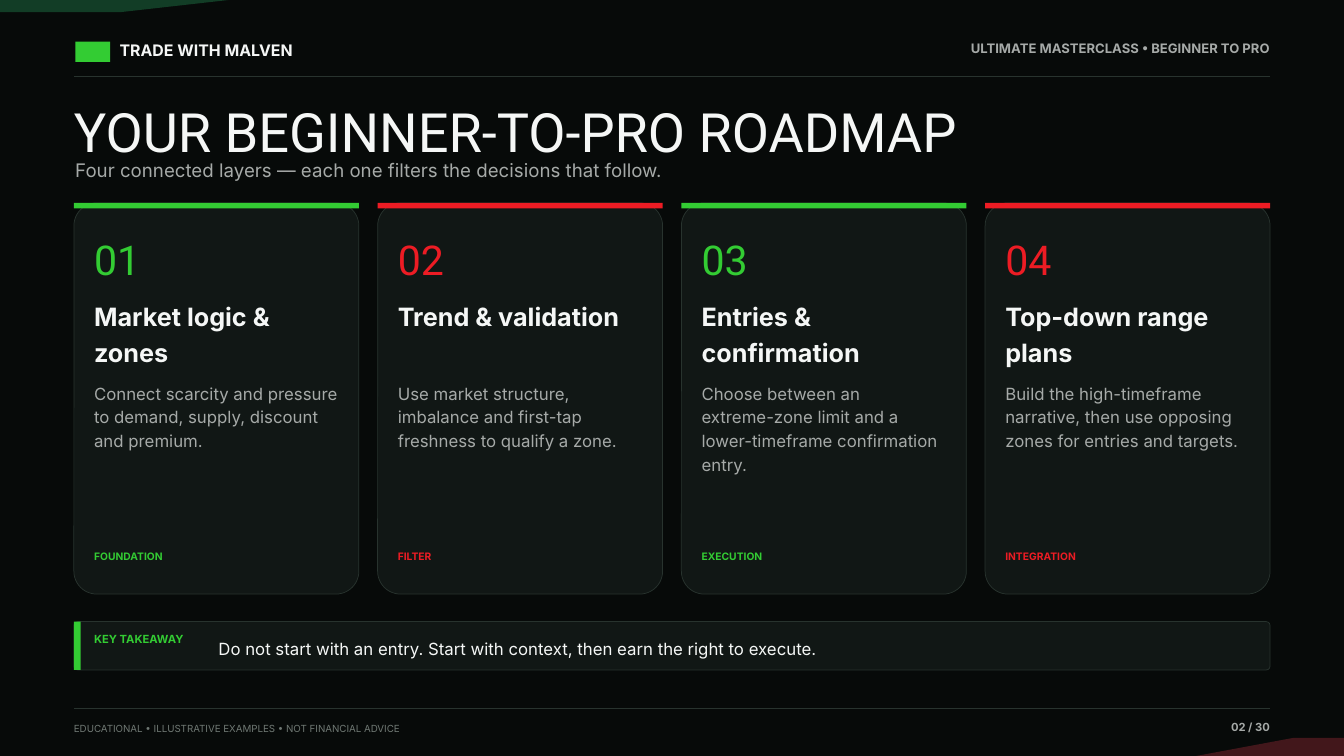
from lxml import etree
from pptx import Presentation, util as u
from pptx.dml.color import RGBColor
from pptx.enum import shapes, text
from pptx.oxml.ns import qn

PX = 9144  # EMU per px, 100 px to the inch
W, H = 2000, 1125
LEFT, RIGHT = 110, 1890

COLORS = {
    "bg": "070A09", "panel": "111715", "rule": "28332E",
    "green": "33CC33", "red": "ED1C24",
    "dark_green": "123D26", "dark_red": "42171B",
    "white": "F5F7F6", "grey": "A6AAA8", "dim": "6F7873",
}
RECT = shapes.MSO_SHAPE.RECTANGLE
ROUND = shapes.MSO_SHAPE.ROUNDED_RECTANGLE
ALIGN = text.PP_ALIGN


class Deck:
    """Holds the style and the current slide."""

    def __init__(self, prs):
        self.s = prs.slides.add_slide(prs.slide_layouts[6])

    @staticmethod
    def color(name):
        return RGBColor.from_string(COLORS[name])

    def paint(self, sp, fill, line=None):
        sp.shadow.inherit = False
        sp.fill.solid()
        sp.fill.fore_color.rgb = self.color(fill)
        if line:
            sp.line.color.rgb = self.color(line)
            sp.line.width = u.Pt(0.8)
        else:
            sp.line.fill.background()

    def box(self, x, y, w, h, fill, kind=RECT, line=None):
        sp = self.s.shapes.add_shape(kind, x * PX, y * PX, w * PX, h * PX)
        if kind == ROUND:
            sp.adjustments[0] = 0.08
        self.paint(sp, fill, line)

    def polygon(self, points, fill):
        fb = self.s.shapes.build_freeform(*points[0], scale=PX)
        fb.add_line_segments(points[1:], close=True)
        self.paint(fb.convert_to_shape(), fill)

    def rule(self, y):
        c = self.s.shapes.add_connector(
            shapes.MSO_CONNECTOR.STRAIGHT, LEFT * PX, y * PX, RIGHT * PX, y * PX)
        c.line.color.rgb = self.color("rule")
        c.line.width = u.Pt(0.8)
        etree.SubElement(c._element.spPr, qn("a:effectLst"))

    def label(self, x, y, w, h, lines, size, color, font="Inter", bold=False,
              align=ALIGN.LEFT, spacing=1.18, anchor=text.MSO_ANCHOR.TOP):
        tf = self.s.shapes.add_textbox(x * PX, y * PX, w * PX, h * PX).text_frame
        frame = {"margin_left": 0, "margin_right": 0, "margin_top": 0,
                 "margin_bottom": 0, "word_wrap": False, "vertical_anchor": anchor,
                 "auto_size": text.MSO_AUTO_SIZE.SHAPE_TO_FIT_TEXT}
        for name, value in frame.items():
            setattr(tf, name, value)
        for i, line in enumerate(lines.split("\n")):
            p = tf.add_paragraph() if i else tf.paragraphs[0]
            p.alignment = align
            p.line_spacing = spacing
            r = p.add_run()
            r.text = line
            for name, value in {"name": font, "size": u.Pt(size), "bold": bold}.items():
                setattr(r.font, name, value)
            r.font.color.rgb = self.color(color)

    def card(self, x, number, color, title, body, tag):
        y, w, inner = 302, 424, x + 30
        self.box(x, y, w, 582, "panel", ROUND, "rule")
        self.box(x, y, w, 8, color)
        self.label(inner, 336, 364, 72, number, 44, color, font="Roboto")
        self.label(inner, 440, 364, 108, title, 27, "white", bold=True)
        self.label(inner, 565, 364, 215, body, 18, "grey")
        self.label(inner, 815, 364, 30, tag, 11, color, bold=True)


CARDS = [
    ("Market logic &\nzones",
     "Connect scarcity and pressure\nto demand, supply, discount\nand premium.",
     "FOUNDATION"),
    ("Trend & validation",
     "Use market structure,\nimbalance and first-tap\nfreshness to qualify a zone.",
     "FILTER"),
    ("Entries &\nconfirmation",
     "Choose between an\nextreme-zone limit and a\nlower-timeframe confirmation\nentry.",
     "EXECUTION"),
    ("Top-down range\nplans",
     "Build the high-timeframe\nnarrative, then use opposing\nzones for entries and targets.",
     "INTEGRATION"),
]


def main():
    prs = Presentation()
    prs.slide_width, prs.slide_height = W * PX, H * PX
    d = Deck(prs)

    # Background and corner accents
    d.box(0, 0, W, H, "bg")
    d.polygon([(0, 0), (340, 0), (180, 18), (0, 18)], "dark_green")
    d.polygon([(W, H), (1780, H), (1925, 1098), (W, 1098)], "dark_red")

    # Header, with a plain mark beside the name
    d.box(112, 62, 52, 30, "green")
    d.label(178, 56, 390, 34, "TRADE WITH MALVEN", 17, "white", bold=True)
    d.label(1400, 56, 490, 32, "ULTIMATE MASTERCLASS • BEGINNER TO PRO", 14, "grey",
            bold=True, align=ALIGN.RIGHT)
    d.rule(113)

    # Footer
    d.rule(1054)
    d.label(LEFT, 1072, 800, 25,
            "EDUCATIONAL • ILLUSTRATIVE EXAMPLES • NOT FINANCIAL ADVICE", 10.5, "dim")
    d.label(1720, 1068, 170, 28, "02 / 30", 12, "grey", bold=True, align=ALIGN.RIGHT)

    # Title
    d.label(LEFT, 146, 1780, 88, "YOUR BEGINNER-TO-PRO ROADMAP", 58, "white",
            font="Roboto", spacing=None)
    d.label(112, 230, 1720, 43,
            "Four connected layers — each one filters the decisions that follow.",
            20, "grey")

    # Roadmap cards
    for i, (title, body, tag) in enumerate(CARDS):
        d.card(LEFT + i * 452, f"{i + 1:02}", ("green", "red")[i % 2], title, body, tag)

    # Key takeaway
    d.box(LEFT, 925, RIGHT - LEFT, 72, "panel", ROUND, "rule")
    d.box(LEFT, 925, 10, 72, "green")
    d.label(140, 938, 185, 26, "KEY TAKEAWAY", 12, "green", bold=True)
    d.label(325, 935, 1538, 56,
            "Do not start with an entry. Start with context, then earn the right to execute.",
            18, "white", anchor=text.MSO_ANCHOR.MIDDLE)

    prs.save("out.pptx")


if __name__ == "__main__":
    main()
